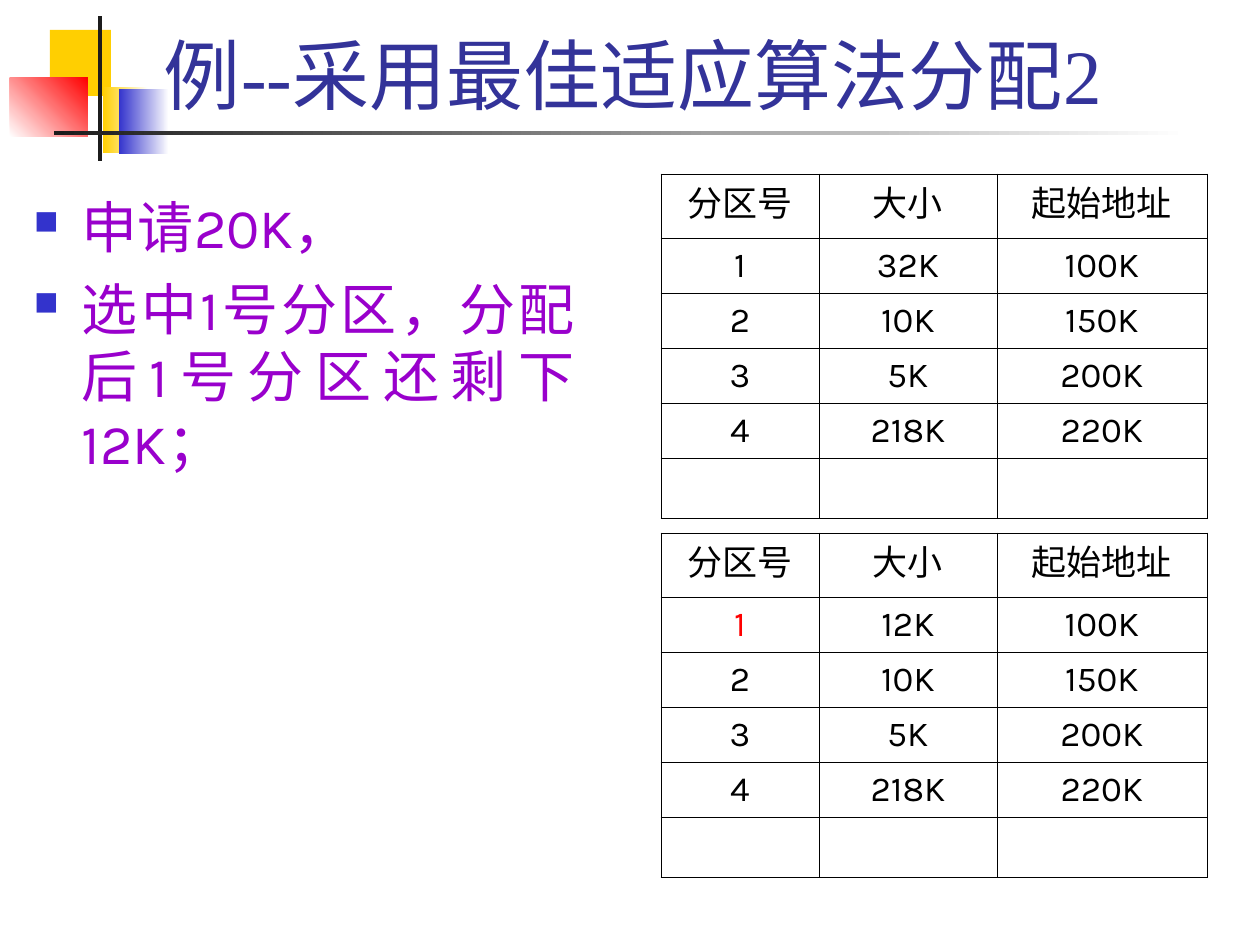
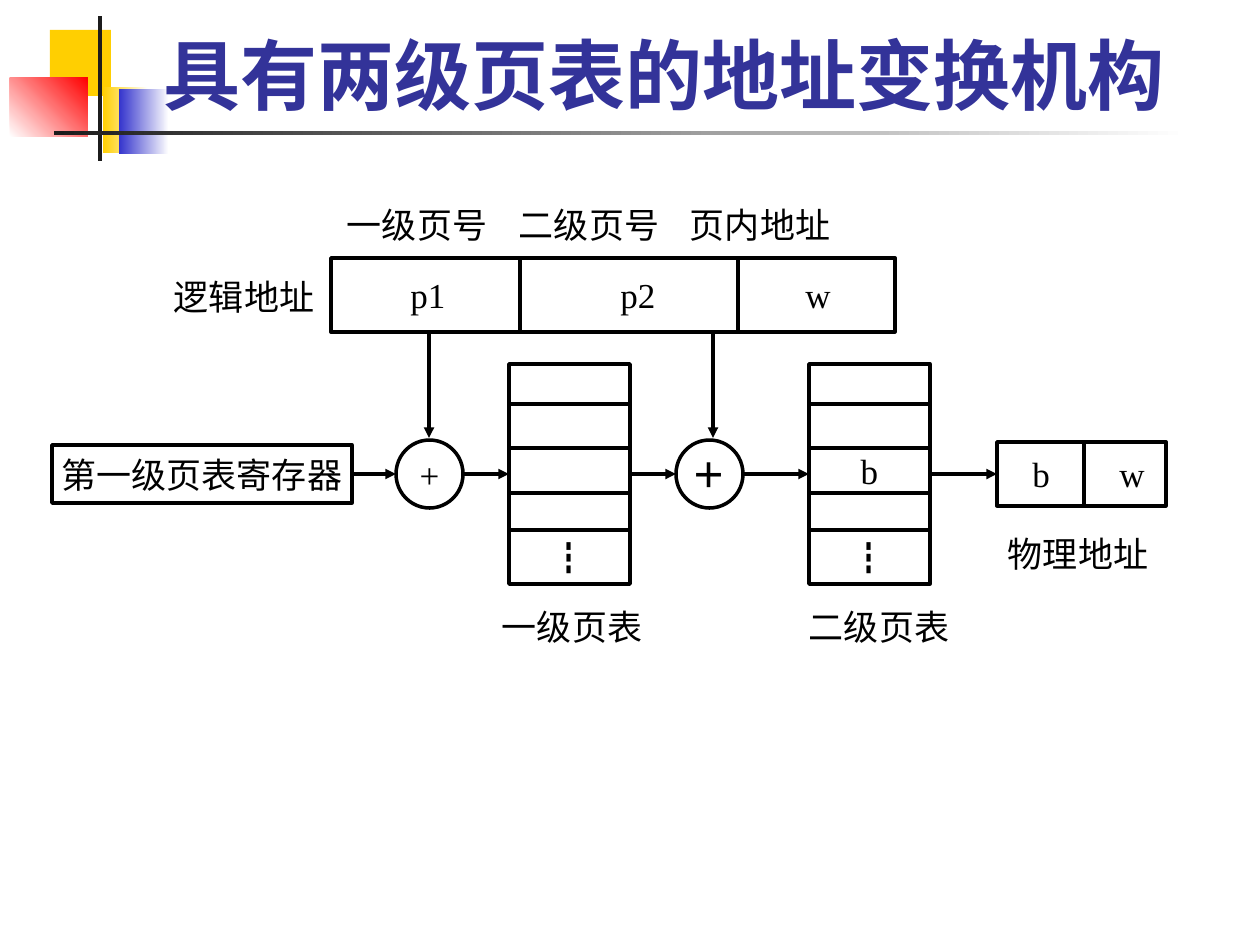
import pptx
import pptx.dml.color
import pptx.enum.shapes
import pptx.enum.text
import pptx.oxml
import pptx.oxml.ns
import pptx.util
from lxml import etree

SCALE = 914400 / 126
SHAPES = pptx.enum.shapes.MSO_SHAPE
ALIGN = pptx.enum.text.PP_ALIGN
ANCHOR = pptx.enum.text.MSO_ANCHOR
SERIF, SANS, CHINESE = "Times New Roman", "Karla", "Noto Sans CJK SC"
BLACK, WHITE, RED = "000000", "FFFFFF", "FF0000"
NAVY, BLUE, PURPLE, GOLD, DARK = "333399", "3333CC", "9900CC", "FFCF01", "1C1C1C"
MASTER_BLOCKS = [
    ((50, 30, 61, 66), [GOLD], 0),
    ((103, 87, 45, 66), [GOLD, WHITE], 0),
    ((119, 89, 50, 65), [BLUE, WHITE], 0),
    ((10, 78, 78, 59), [WHITE, RED], 45),
    ((98, 16, 4, 145), [DARK], 0),
    ((54, 131, 1134, 4), [DARK, WHITE], 0),
]
HEADER = ["分区号", "大小", "起始地址"]
COLUMN_WIDTHS = [158, 178, 210]
ROW_HEIGHTS = [64, 55, 55, 55, 55, 61]
AXIS = 474


def px(*lengths):
    """Turn pixel lengths into a list of EMU lengths."""
    return [pptx.util.Emu(round(length * SCALE)) for length in lengths]


def color(value):
    """Turn a hex string into a colour."""
    return pptx.dml.color.RGBColor.from_string(value)


def add_child(parent, tag, **attributes):
    """Append a DrawingML element to a parent."""
    child = etree.SubElement(parent, pptx.oxml.ns.qn("a:" + tag))
    for name, value in attributes.items():
        child.set(name, str(value))
    return child


def write(frame, text, size=20, font=SERIF, fill=BLACK, bold=False, align=ALIGN.LEFT,
          anchor=ANCHOR.TOP, insets=(0, 0, 0, 0), bullet=False, tabs=(), tab_align="l"):
    """Fill a text frame, one paragraph for each line of the text."""
    frame.word_wrap = True
    frame.vertical_anchor = anchor
    frame.margin_left, frame.margin_top, frame.margin_right, frame.margin_bottom = px(*insets)
    for index, line in enumerate(text.split("\n")):
        paragraph = frame.add_paragraph() if index else frame.paragraphs[0]
        paragraph.alignment = align
        paragraph.line_spacing = pptx.util.Pt(size * 1.2)
        properties = paragraph._p.get_or_add_pPr()
        if index:
            paragraph.space_before = pptx.util.Pt(8)
        if bullet:
            indent = px(48)[0]
            properties.set("marL", str(indent))
            properties.set("indent", str(-indent))
            add_child(add_child(properties, "buClr"), "srgbClr", val=BLUE)
            add_child(properties, "buSzPct", val=60000)
            add_child(properties, "buChar", char="■")
        if tabs:
            stops = add_child(properties, "tabLst")
            for position in px(*tabs):
                add_child(stops, "tab", pos=position, algn=tab_align)
        run = paragraph.add_run()
        run.text = line
        run.font.size = pptx.util.Pt(size)
        run.font.bold = bold
        run.font.color.rgb = color(fill)
        run.font.name = font
        add_child(run._r.get_or_add_rPr(), "ea", typeface=CHINESE)


def add_label(slide, box, text, **text_format):
    """Add a text box."""
    label = slide.shapes.add_textbox(*px(*box))
    write(label.text_frame, text, **text_format)


def add_outline(slide, box, kind=SHAPES.RECTANGLE, text="", **text_format):
    """Add a white shape with a black outline."""
    shape = slide.shapes.add_shape(kind, *px(*box))
    shape.shadow.inherit = False
    shape.fill.solid()
    shape.fill.fore_color.rgb = color(WHITE)
    shape.line.color.rgb = color(BLACK)
    shape.line.width = pptx.util.Pt(2)
    if text:
        write(shape.text_frame, text, **text_format)
    return shape


def add_line(slide, start, end, arrow=False, source=None, target=None):
    """Draw a line, joined to the right of source and the left of target."""
    line = slide.shapes.add_connector(
        pptx.enum.shapes.MSO_CONNECTOR.STRAIGHT, *px(*start, *end))
    line.line.color.rgb = color(BLACK)
    line.line.width = pptx.util.Pt(2)
    if arrow:
        add_child(line.line._get_or_add_ln(), "tailEnd", type="triangle")
    add_child(line._element.spPr, "effectLst")
    if source:
        line.begin_connect(source, 3)
    if target:
        line.end_connect(target, 1)


def new_slide(presentation, title, **text_format):
    """Add a slide with the shared decoration and a title."""
    slide = presentation.slides.add_slide(presentation.slide_layouts[6])
    for box, colors, angle in MASTER_BLOCKS:
        block = slide.shapes.add_shape(SHAPES.RECTANGLE, *px(*box))
        block.shadow.inherit = False
        block.line.fill.background()
        if len(colors) == 1:
            block.fill.solid()
            block.fill.fore_color.rgb = color(colors[0])
        else:
            block.fill.gradient()
            block.fill.gradient_angle = angle
            for stop, value in zip(block.fill.gradient_stops, colors):
                stop.color.rgb = color(value)
    add_label(slide, (151, 21, 1074, 105), title, size=44, fill=NAVY,
              anchor=ANCHOR.BOTTOM, insets=(13, 6, 13, 6), **text_format)
    return slide


def add_partition_table(slide, left, top, rows, marked=None):
    """Add a partition table, with the marked cell in red."""
    frame = slide.shapes.add_table(
        len(ROW_HEIGHTS), len(COLUMN_WIDTHS),
        *px(left, top, sum(COLUMN_WIDTHS), sum(ROW_HEIGHTS)))
    table = frame.table
    table.first_row = table.horz_banding = False
    for column, width in zip(table.columns, px(*COLUMN_WIDTHS)):
        column.width = width
    for row, height in zip(table.rows, px(*ROW_HEIGHTS)):
        row.height = height
    for row_index, row in enumerate(table.rows):
        for column_index, cell in enumerate(row.cells):
            properties = cell._tc.get_or_add_tcPr()
            for side in ("lnL", "lnR", "lnT", "lnB"):
                border = add_child(properties, side, w=5715)
                add_child(add_child(border, "solidFill"), "srgbClr", val=BLACK)
            cell.fill.background()
            if row_index < len(rows):
                place = (row_index, column_index)
                write(cell.text_frame, rows[row_index][column_index], font=SANS,
                      fill=RED if place == marked else BLACK, align=ALIGN.CENTER)
                cell.vertical_anchor = ANCHOR.MIDDLE
                cell.margin_left, cell.margin_right = px(13, 13)
                cell.margin_top, cell.margin_bottom = px(6, 6)


def build_allocation_slide(presentation):
    """Show the partition tables before and after a best-fit allocation."""
    slide = new_slide(presentation, "例--采用最佳适应算法分配2")
    add_label(slide, (21, 187, 567, 567),
              "申请20K，\n选中1号分区，分配后1号分区还剩下12K；",
              size=32, font=SANS, fill=PURPLE, align=ALIGN.JUSTIFY,
              insets=(13, 6, 13, 6), bullet=True)
    later_rows = [["2", "10K", "150K"], ["3", "5K", "200K"], ["4", "218K", "220K"]]
    add_partition_table(slide, 661, 174, [HEADER, ["1", "32K", "100K"], *later_rows])
    add_partition_table(slide, 661, 533, [HEADER, ["1", "12K", "100K"], *later_rows],
                        marked=(1, 0))


def add_address(slide, box, fields, centers, dividers):
    """Add an address box split into fields."""
    left, top, width, height = box
    address = add_outline(slide, box, text="".join("\t" + field for field in fields),
                          anchor=ANCHOR.MIDDLE, tabs=centers, tab_align="ctr")
    for offset in dividers:
        add_line(slide, (left + offset, top), (left + offset, top + height))
    return address


def add_page_table(slide, left, caption, caption_left, entry=""):
    """Add a page table with its rows, an optional entry and a caption."""
    top, width, height = AXIS - 110, 121, 220
    page_table = add_outline(slide, (left, top, width, height), text="┇", font=CHINESE,
                             align=ALIGN.CENTER, anchor=ANCHOR.BOTTOM, insets=(0, 0, 0, 6))
    for offset in (40, 84, 129, 166):
        add_line(slide, (left, top + offset), (left + width, top + offset))
    if entry:
        add_label(slide, (left, top + 84, width, 45), entry,
                  align=ALIGN.CENTER, anchor=ANCHOR.MIDDLE)
    add_label(slide, (caption_left, 606, 150, 50), caption)
    return page_table


def build_paging_slide(presentation):
    """Show address translation through two levels of page tables."""
    slide = new_slide(presentation, "具有两级页表的地址变换机构", font=SANS, bold=True)
    add_label(slide, (347, 204, 591, 53), "一级页号\t二级页号\t页内地址",
              font=CHINESE, tabs=(172, 343))
    add_label(slide, (174, 275, 152, 45), "逻辑地址")
    add_address(slide, (331, 258, 564, 74), ["p1", "p2", "w"], (97, 307, 487), (189, 407))
    register = add_outline(slide, (52, AXIS - 29, 300, 58), text="第一级页表寄存器",
                           align=ALIGN.CENTER, anchor=ANCHOR.MIDDLE)
    first_table = add_page_table(slide, 509, "一级页表", 502)
    second_table = add_page_table(slide, 809, "二级页表", 809, entry="b")
    physical = add_address(slide, (997, AXIS - 32, 169, 64), ["b", "w"], (44, 135), (87,))
    add_label(slide, (1008, 533, 154, 49), "物理地址")

    adders = [(396, "+", False, 429, register, first_table),
              (676, "＋", True, 713, first_table, second_table)]
    for left, sign, bold, arrow_x, source, target in adders:
        right = left + 67
        add_outline(slide, (left, AXIS - 34, 67, 68), SHAPES.OVAL, sign, bold=bold,
                    align=ALIGN.CENTER, anchor=ANCHOR.MIDDLE)
        add_line(slide, (arrow_x, 332), (arrow_x, AXIS - 36), arrow=True)
        add_line(slide, (left, AXIS), (left, AXIS), arrow=True, source=source)
        add_line(slide, (right, AXIS), (right, AXIS), arrow=True, target=target)
    add_line(slide, (930, AXIS), (997, AXIS), arrow=True,
             source=second_table, target=physical)


def main():
    """Build and save the presentation."""
    presentation = pptx.Presentation()
    presentation.slide_width, presentation.slide_height = px(1260, 945)
    build_allocation_slide(presentation)
    build_paging_slide(presentation)
    presentation.save("out.pptx")


if __name__ == "__main__":
    main()
